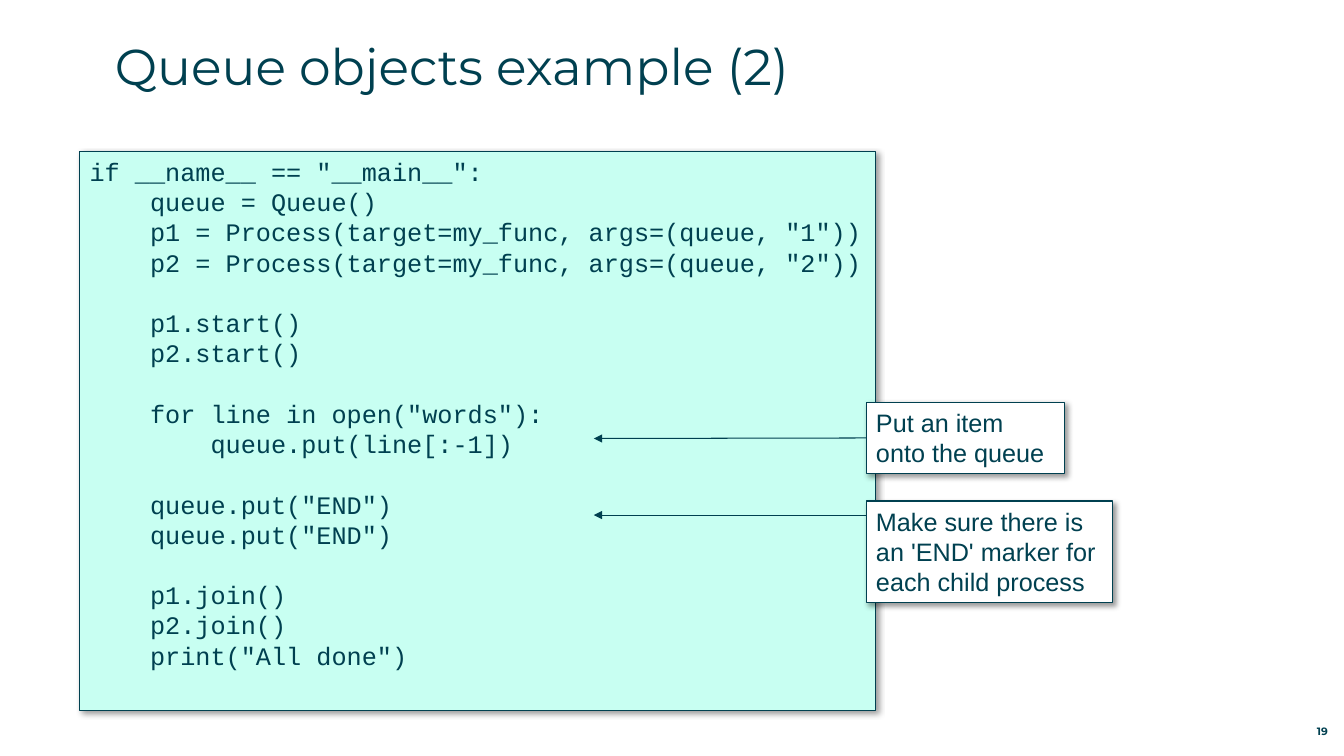
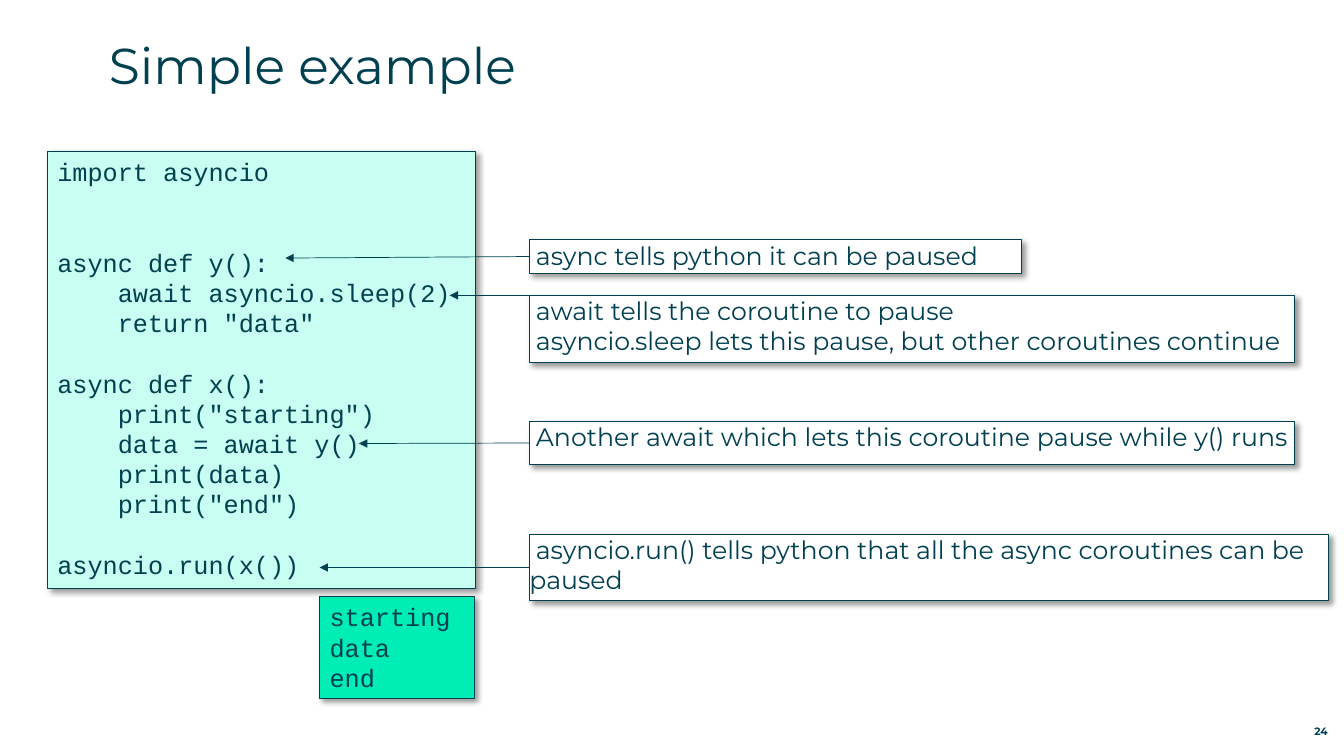
from dataclasses import dataclass

from lxml import etree
from pptx import Presentation
from pptx import util as u
from pptx.dml.color import RGBColor
from pptx.enum import shapes, text
from pptx.oxml import ns

SCALE = 9144  # EMU in one px, 100 px to the inch
INK = RGBColor(0x00, 0x40, 0x50)
MINT = RGBColor(0xC8, 0xFF, 0xF2)
GREEN = RGBColor(0x00, 0xED, 0xB5)
WHITE = RGBColor(0xFF, 0xFF, 0xFF)
BRAND, MONO, SANS = "Montserrat", "Courier New", "Arial"
PITCH = 21.6  # points from one line to the next in 18 pt text
TAB = 15  # px of indent for each leading space of code
LEFT = 1  # connection site in the middle of the left side


@dataclass(frozen=True)
class Box:
    left: int
    top: int
    width: int
    height: int


@dataclass(frozen=True)
class Panel:
    box: Box
    words: str
    fill: RGBColor = MINT


@dataclass(frozen=True)
class Note:
    box: Box
    words: str
    tip: tuple[int, int]
    glued: bool = True


@dataclass(frozen=True)
class Page:
    title: str
    head: Box
    number: str
    panels: list[Panel]
    notes: list[Note]
    font: str
    inset: tuple[int, int]
    stroke: float


def px(size: int) -> u.Emu:
    return u.Emu(size * SCALE)


def place(box: Box) -> list[u.Emu]:
    return [px(n) for n in (box.left, box.top, box.width, box.height)]


def write(frame, words: str, *, font: str = BRAND, size: float = 18,
          bold: bool = False, pitch: float | None = None,
          align=text.PP_ALIGN.LEFT, anchor=text.MSO_ANCHOR.TOP,
          inset: tuple[int, int] = (0, 0), code: bool = False) -> None:
    """Fill a frame; in code, leading spaces and blank lines become spacing."""
    frame.word_wrap = True
    frame.auto_size = text.MSO_AUTO_SIZE.NONE
    frame.vertical_anchor = anchor
    frame.margin_left = frame.margin_right = px(inset[0])
    frame.margin_top = frame.margin_bottom = px(inset[1])
    gap, first = 0, True
    for row in words.split("\n"):
        if not row:
            gap += 1
            continue
        para = frame.paragraphs[0] if first else frame.add_paragraph()
        first = False
        para.alignment = align
        if pitch:
            para.line_spacing = u.Pt(pitch)
            para.space_before = u.Pt(gap * pitch)
        gap = 0
        if code:
            body = row.lstrip()
            props = para._p.get_or_add_pPr()
            props.set("marL", str(px((len(row) - len(body)) * TAB)))
            props.set("indent", "0")
            row = body
        run = para.add_run()
        run.text = row
        run.font.name = font
        run.font.size = u.Pt(size)
        run.font.bold = bold
        run.font.color.rgb = INK


def label(slide, box: Box, words: str, **style) -> None:
    write(slide.shapes.add_textbox(*place(box)).text_frame, words, **style)


def shade(props) -> None:
    """Add the soft shadow that falls to the lower right."""
    for old in props.findall(ns.qn("a:effectLst")):
        props.remove(old)
    effects = etree.SubElement(props, ns.qn("a:effectLst"))
    cast = etree.SubElement(effects, ns.qn("a:outerShdw"), blurRad="50800",
                            dist="38100", dir="2700000", algn="tl",
                            rotWithShape="0")
    tint = etree.SubElement(cast, ns.qn("a:srgbClr"), val="000000")
    etree.SubElement(tint, ns.qn("a:alpha"), val="40000")


def card(slide, box: Box, fill: RGBColor, words: str, **style):
    shape = slide.shapes.add_shape(shapes.MSO_SHAPE.RECTANGLE, *place(box))
    shape.fill.solid()
    shape.fill.fore_color.rgb = fill
    shape.line.color.rgb = INK
    shape.line.width = u.Pt(0.75)
    shade(shape._element.spPr)
    write(shape.text_frame, words, pitch=PITCH, **style)
    return shape


def point(slide, note: Note, shape, stroke: float) -> None:
    """Draw the arrow from a note to its line of code."""
    x, y = note.tip
    arrow = slide.shapes.add_connector(
        shapes.MSO_CONNECTOR.STRAIGHT, px(note.box.left), px(y), px(x), px(y))
    if note.glued:
        arrow.begin_connect(shape, LEFT)
    arrow.line.color.rgb = INK
    arrow.line.width = u.Pt(stroke)
    etree.SubElement(arrow.line._get_or_add_ln(), ns.qn("a:tailEnd"),
                     type="triangle")
    etree.SubElement(arrow._element.spPr, ns.qn("a:effectLst"))


def draw(deck, page: Page) -> None:
    slide = deck.slides.add_slide(deck.slide_layouts[6])
    label(slide, page.head, page.title, size=36)
    for panel in page.panels:
        card(slide, panel.box, panel.fill, panel.words, font=MONO,
             inset=(10, 5), code=True)
    for note in page.notes:
        shape = card(slide, note.box, WHITE, note.words, font=page.font,
                     inset=page.inset)
        point(slide, note, shape, page.stroke)
    label(slide, Box(1231, 712, 86, 20), page.number, size=7.6, bold=True,
          align=text.PP_ALIGN.RIGHT, anchor=text.MSO_ANCHOR.BOTTOM)


QUEUE = '''if __name__ == "__main__":
    queue = Queue()
    p1 = Process(target=my_func, args=(queue, "1"))
    p2 = Process(target=my_func, args=(queue, "2"))

    p1.start()
    p2.start()

    for line in open("words"):
        queue.put(line[:-1])

    queue.put("END")
    queue.put("END")

    p1.join()
    p2.join()
    print("All done")'''

ASYNC = '''import asyncio


async def y():
    await asyncio.sleep(2)
    return "data"

async def x():
    print("starting")
    data = await y()
    print(data)
    print("end")

asyncio.run(x())'''

PAGES = [
    Page("Queue objects example (2)", Box(114, 35, 1200, 88), "19",
         [Panel(Box(79, 150, 789, 555), QUEUE)],
         [Note(Box(859, 399, 197, 71), "Put an item onto the queue",
               (589, 435)),
          Note(Box(859, 497, 244, 101),
               "Make sure there is an 'END' marker for each child process",
               (589, 511), glued=False)],
         font=SANS, inset=(10, 5), stroke=0.75),
    Page("Simple example", Box(108, 34, 1200, 88), "24",
         [Panel(Box(47, 150, 425, 434), ASYNC),
          Panel(Box(317, 592, 154, 101), "starting\ndata\nend", GREEN)],
         [Note(Box(525, 238, 488, 33), " async tells python it can be paused",
               (283, 256)),
          Note(Box(525, 293, 759, 67),
               " await tells the coroutine to pause\n"
               " asyncio.sleep lets this pause, but other coroutines continue",
               (446, 293), glued=False),
          Note(Box(525, 418, 759, 43),
               " Another await which lets this coroutine pause while y() runs",
               (356, 440)),
          Note(Box(525, 530, 793, 66),
               " asyncio.run() tells python that all the async coroutines "
               "can be paused", (317, 563))],
         font=BRAND, inset=(0, 0), stroke=0.5),
]


def main() -> None:
    deck = Presentation()
    deck.slide_width, deck.slide_height = px(1333), px(750)
    for page in PAGES:
        draw(deck, page)
    deck.save("out.pptx")


if __name__ == "__main__":
    main()
